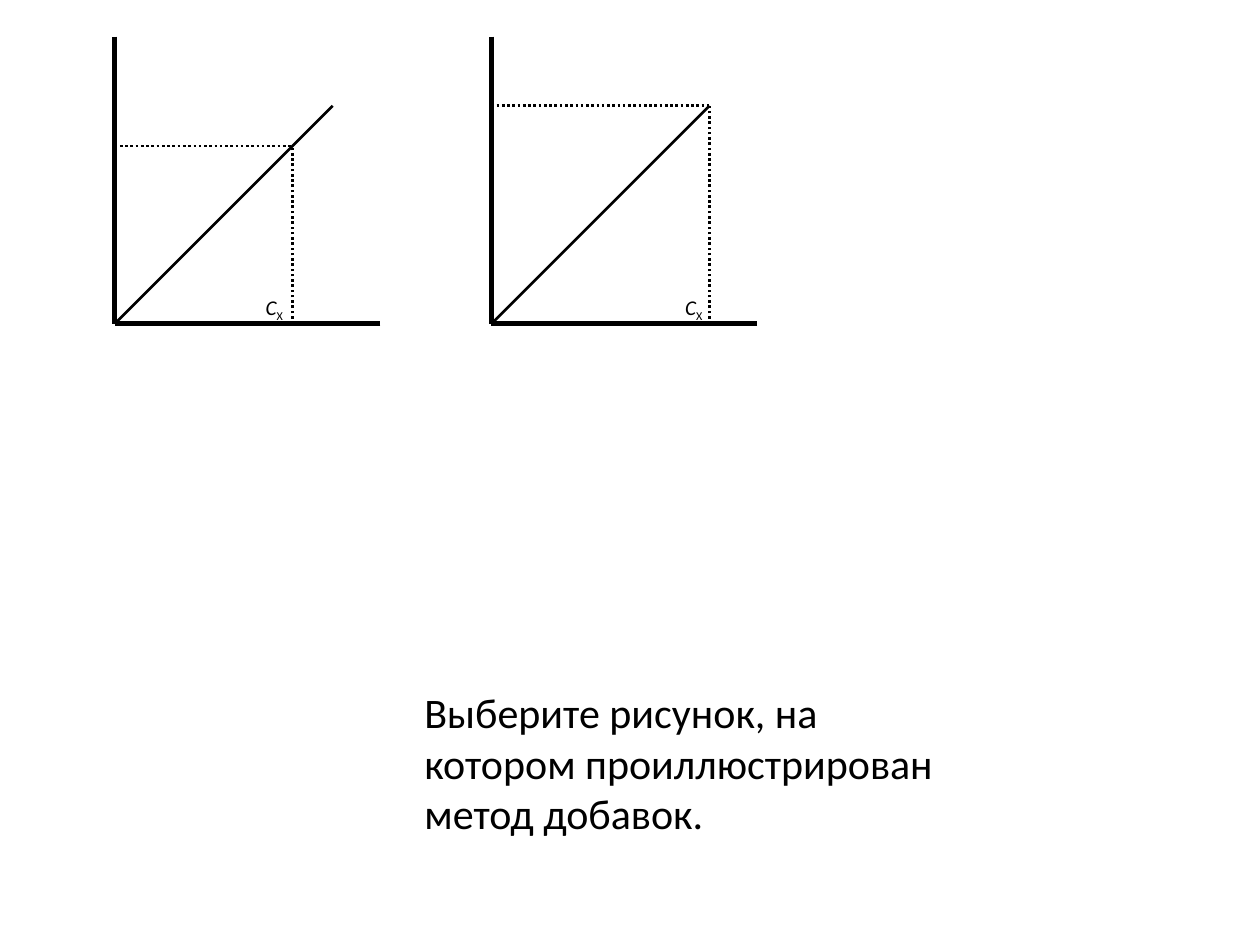
from lxml import etree
from pptx import Presentation
from pptx.dml.color import RGBColor
from pptx.enum.dml import MSO_LINE
from pptx.enum.shapes import MSO_CONNECTOR
from pptx.enum.text import MSO_AUTO_SIZE
from pptx.oxml.ns import qn
from pptx.util import Inches, Pt

STRAIGHT = MSO_CONNECTOR.STRAIGHT
DOTTED = MSO_LINE.ROUND_DOT
FIT_SHAPE = MSO_AUTO_SIZE.SHAPE_TO_FIT_TEXT
BLACK = "000000"
FONT = "Calibri"


def color(hex_value):
    """Return the colour for a hex string."""
    return RGBColor.from_string(hex_value)


def add_line(s, x1, y1, x2, y2, width=1.5, dash=None):
    """Draw a straight black line between two points given in inches."""
    line = s.shapes.add_connector(
        STRAIGHT, Inches(x1), Inches(y1), Inches(x2), Inches(y2))
    line.line.color.rgb = color(BLACK)
    line.line.width = Pt(width)
    if dash:
        line.line.dash_style = dash
    etree.SubElement(line._element.spPr, qn("a:effectLst"))


def add_text_box(s, left, top, width, height):
    """Add a wrapping text box and return its first paragraph."""
    sp = s.shapes.add_textbox(
        Inches(left), Inches(top), Inches(width), Inches(height))
    tf = sp.text_frame
    tf.word_wrap = True
    tf.auto_size = FIT_SHAPE
    return tf.paragraphs[0]


def add_run(p, text, size, italic=None):
    """Append a formatted run to a paragraph and return it."""
    r = p.add_run()
    r.text = text
    r.font.name = FONT
    r.font.size = Pt(size)
    r.font.italic = italic
    r.font.color.rgb = color(BLACK)
    return r


def add_plot(s, left, top, width, height, reading, label_offset):
    """Draw axes, a calibration line, a dotted reading and its Cx label."""
    bottom = top + height
    line_span = 1.73
    add_line(s, left, top, left, bottom, width=3)
    add_line(s, left + width, bottom, left, bottom, width=3)
    add_line(s, left, bottom, left + line_span, bottom - line_span)

    x, y = left + reading, bottom - reading
    add_line(s, left, y, x, y, dash=DOTTED)
    add_line(s, x, bottom, x, y, dash=DOTTED)

    p = add_text_box(s, left + label_offset, bottom - 0.28, 0.47, 0.3)
    add_run(p, "C", 12, italic=True)
    subscript = add_run(p, "X", 12, italic=False)
    subscript.font._element.set("baseline", "-25000")


def add_question(s, left, top, width, height):
    """Write the question in the given box."""
    p = add_text_box(s, left, top, width, height)
    add_run(p, "Выберите рисунок, на котором проиллюстрирован метод добавок.", 24)


def main():
    """Build the slide and save it."""
    prs = Presentation()
    prs.slide_width, prs.slide_height = Inches(10), Inches(7.5)
    s = prs.slides.add_slide(prs.slide_layouts[6])
    add_question(s, 3.27, 5.4, 4.33, 1.31)
    add_plot(s, 0.91, 0.29, 2.11, 2.28, reading=1.41, label_offset=1.1)
    add_plot(s, 3.9, 0.29, 2.11, 2.28, reading=1.73, label_offset=1.44)
    prs.save("out.pptx")


if __name__ == "__main__":
    main()
